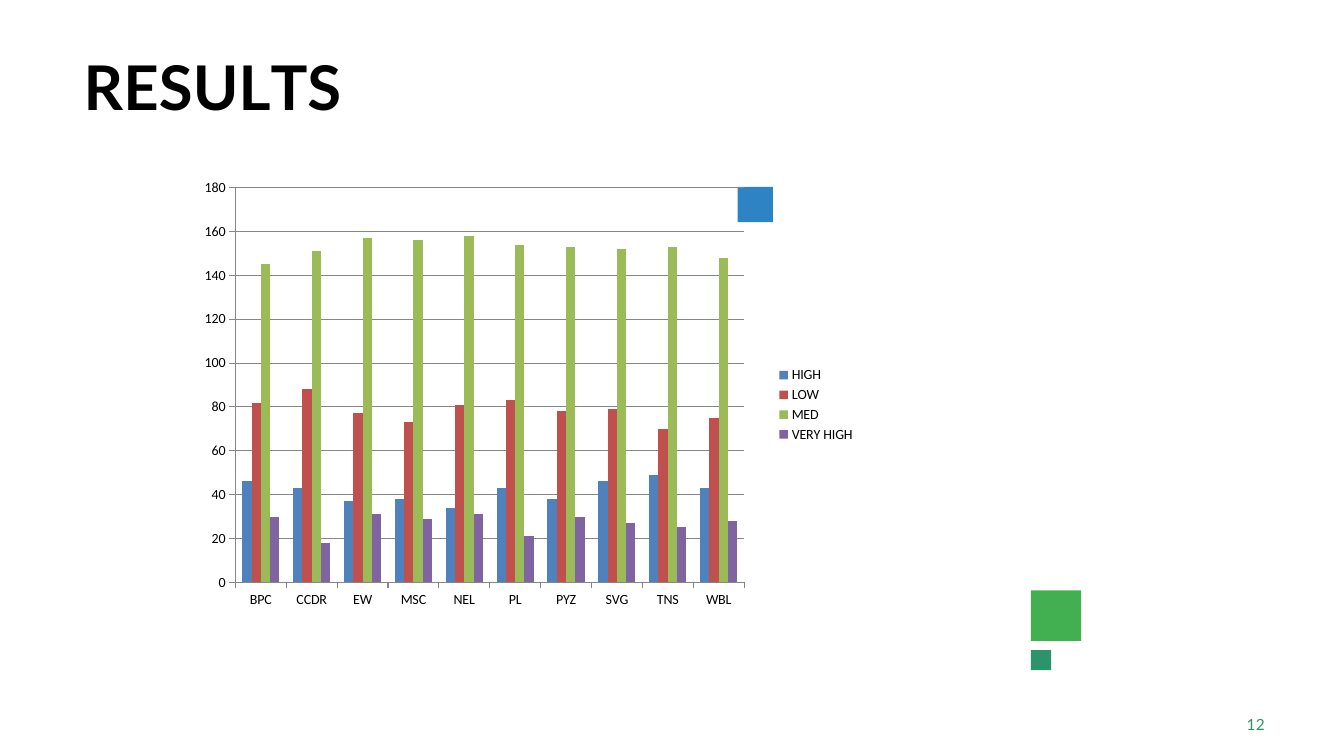
"""Build the results slide with its clustered column chart."""
import lxml.etree
import pptx
import pptx.chart.data
import pptx.dml.color
import pptx.enum.chart
import pptx.enum.shapes
import pptx.enum.text
import pptx.oxml
import pptx.oxml.ns
import pptx.util

Cm = pptx.util.Cm
Pt = pptx.util.Pt
RGBColor = pptx.dml.color.RGBColor
qn = pptx.oxml.ns.qn

BLACK = RGBColor(0x00, 0x00, 0x00)
GREY = RGBColor(0x86, 0x86, 0x86)
GREEN = RGBColor(0x42, 0xAF, 0x51)
BLUE = RGBColor(0x2D, 0x83, 0xC3)
TEAL = RGBColor(0x2D, 0x93, 0x6B)

SQUARES = [
    (25.98, 14.88, 1.27, GREEN),
    (18.59, 4.71, 0.89, BLUE),
    (25.98, 16.38, 0.51, TEAL),
]
TITLE_RUNS = [("R", 0), ("E", -0.4), ("S", 0.1), ("U", -0.3), ("L", -4), ("TS", 0)]
CATEGORIES = ["BPC", "CCDR", "EW", "MSC", "NEL", "PL", "PYZ", "SVG", "TNS", "WBL"]
SERIES = [
    ("HIGH", [46, 43, 37, 38, 34, 43, 38, 46, 49, 43], RGBColor(0x4F, 0x81, 0xBD)),
    ("LOW", [82, 88, 77, 73, 81, 83, 78, 79, 70, 75], RGBColor(0xC0, 0x50, 0x4D)),
    ("MED", [145, 151, 157, 156, 158, 154, 153, 152, 153, 148], RGBColor(0x9B, 0xBB, 0x59)),
    ("VERY HIGH", [30, 18, 31, 29, 31, 21, 30, 27, 25, 28], RGBColor(0x80, 0x64, 0xA2)),
]
PLOT_AREA = {"x": 0.138, "y": 0.042, "w": 0.696, "h": 0.833}


def add_square(slide, left, top, side, color):
    """Add a plain filled square, measured in centimetres."""
    square = slide.shapes.add_shape(
        pptx.enum.shapes.MSO_SHAPE.RECTANGLE, Cm(left), Cm(top), Cm(side), Cm(side))
    square.shadow.inherit = False
    square.fill.solid()
    square.fill.fore_color.rgb = color
    square.line.fill.background()


def write_line(box, spans, size, color, bold, space_before):
    """Write one left-aligned line from pairs of text and letter spacing."""
    frame = box.text_frame
    frame.word_wrap = False
    frame.margin_left = frame.margin_right = frame.margin_bottom = 0
    frame.margin_top = Pt(1)
    para = frame.paragraphs[0]
    para.alignment = pptx.enum.text.PP_ALIGN.LEFT
    para.space_before = Pt(space_before)
    for text, spacing in spans:
        span = para.add_run()
        span.text = text
        span.font.name = "Lato"
        span.font.size = Pt(size)
        span.font.bold = bold
        span.font.color.rgb = color
        span.font._element.set("spc", str(round(spacing * 100)))


def add_title(slide):
    """Place and fill the title placeholder."""
    title = slide.shapes.title
    title.left, title.top, title.width, title.height = Cm(2.11), Cm(1.17), Cm(6.78), Cm(1.93)
    write_line(title, TITLE_RUNS, 44, BLACK, True, 1.1)
    title.text_frame.vertical_anchor = pptx.enum.text.MSO_ANCHOR.MIDDLE


def add_page_number(slide):
    """Add the page number at the bottom right."""
    box = slide.shapes.add_textbox(Cm(31.32), Cm(17.98), Cm(0.64), Cm(0.48))
    write_line(box, [("12", 0.1)], 11, TEAL, False, 0.6)
    box.text_frame.paragraphs[0]._p.get_or_add_pPr().set("marL", str(Cm(0.1)))


def set_plot_layout(chart):
    """Fix the inner plot area as fractions of the chart."""
    plot_area = chart._chartSpace.chart.plotArea
    layout = plot_area.find(qn("c:layout"))
    if layout is None:
        layout = lxml.etree.Element(qn("c:layout"))
        plot_area.insert(0, layout)
    manual = lxml.etree.SubElement(layout, qn("c:manualLayout"))
    settings = {"layoutTarget": "inner", "xMode": "edge", "yMode": "edge", **PLOT_AREA}
    for name, value in settings.items():
        lxml.etree.SubElement(manual, qn(f"c:{name}")).set("val", str(value))


def add_results_chart(slide):
    """Add the clustered column chart with its legend."""
    data = pptx.chart.data.CategoryChartData()
    data.categories = CATEGORIES
    for name, values, _ in SERIES:
        data.add_series(name, values)
    chart = slide.shapes.add_chart(
        pptx.enum.chart.XL_CHART_TYPE.COLUMN_CLUSTERED,
        Cm(3.39), Cm(4.23), Cm(18.42), Cm(11.94), data).chart
    chart.has_title = False
    chart.font.name = "Calibri"
    chart.font.size = Pt(10)
    chart.font.color.rgb = BLACK
    chart.has_legend = True
    chart.legend.position = pptx.enum.chart.XL_LEGEND_POSITION.RIGHT
    chart.legend.include_in_layout = False
    plot = chart.plots[0]
    plot.gap_width = 150
    plot.overlap = 0
    plot.vary_by_categories = False
    for series, (_, _, color) in zip(plot.series, SERIES):
        series.format.fill.solid()
        series.format.fill.fore_color.rgb = color
    value_axis = chart.value_axis
    value_axis.minimum_scale, value_axis.maximum_scale, value_axis.major_unit = 0, 180, 20
    value_axis.has_major_gridlines = True
    for line in (chart.category_axis.format.line, value_axis.format.line,
                 value_axis.major_gridlines.format.line):
        line.color.rgb = GREY
        line.width = Pt(0.75)
    for axis in (chart.category_axis, value_axis):
        axis.major_tick_mark = pptx.enum.chart.XL_TICK_MARK.OUTSIDE
    set_plot_layout(chart)


def main():
    """Build and save the deck."""
    deck = pptx.Presentation()
    deck.slide_width, deck.slide_height = Cm(33.87), Cm(19.05)
    slide = deck.slides.add_slide(deck.slide_layouts[5])
    for square in SQUARES:
        add_square(slide, *square)
    add_title(slide)
    add_page_number(slide)
    add_results_chart(slide)
    deck.save("out.pptx")


if __name__ == "__main__":
    main()
